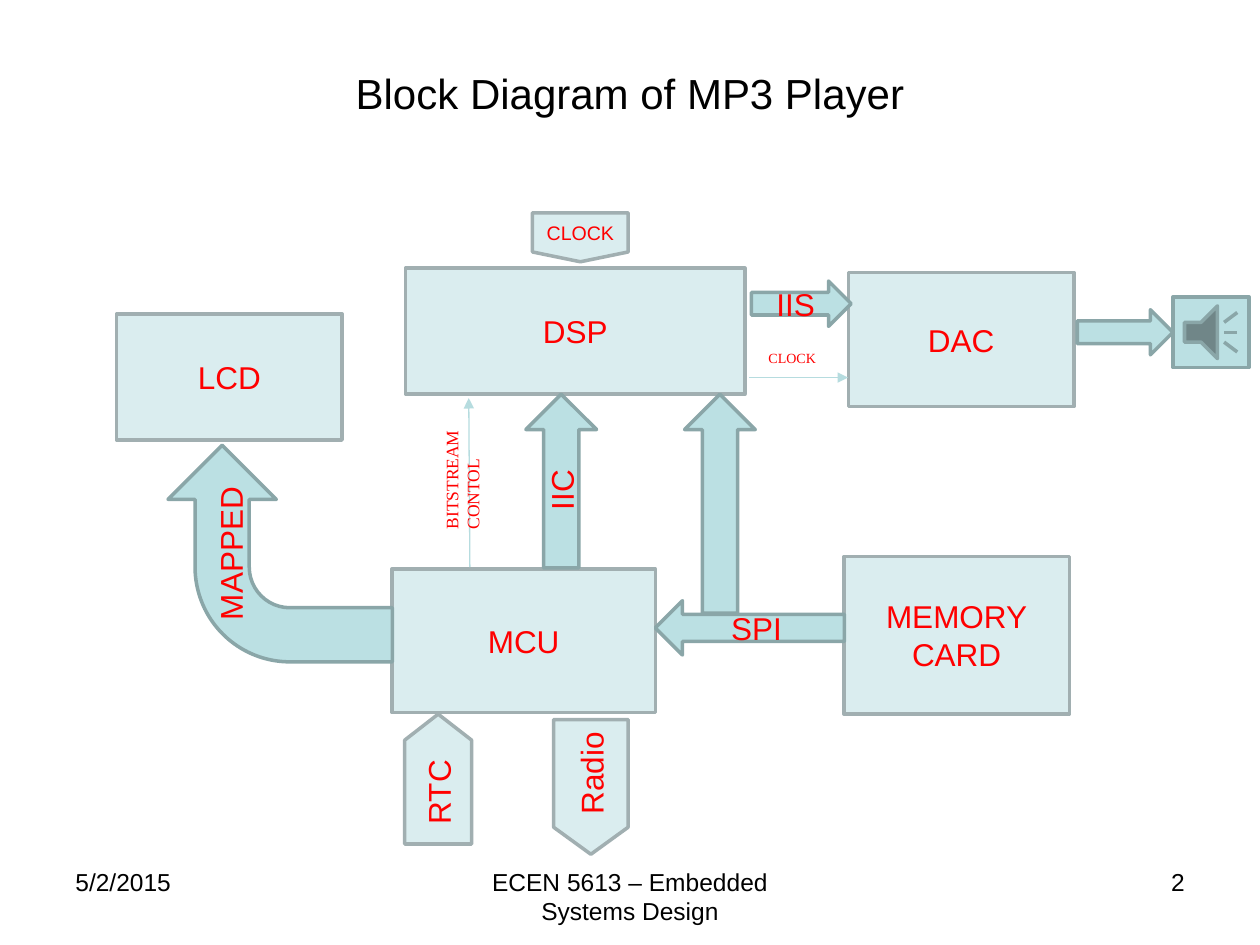
from lxml import etree
from pptx import Presentation
from pptx.dml.color import RGBColor
from pptx.enum.shapes import MSO_CONNECTOR, MSO_SHAPE
from pptx.enum.text import MSO_ANCHOR, PP_ALIGN
from pptx.oxml.ns import qn
from pptx.util import Pt

LEFT, CENTER, RIGHT = PP_ALIGN.LEFT, PP_ALIGN.CENTER, PP_ALIGN.RIGHT
TOP, MIDDLE = MSO_ANCHOR.TOP, MSO_ANCHOR.MIDDLE
STRAIGHT = MSO_CONNECTOR.STRAIGHT
BLOCK = MSO_SHAPE.FLOWCHART_PROCESS
TAG = MSO_SHAPE.FLOWCHART_OFFPAGE_CONNECTOR
ARROW_LEFT, ARROW_RIGHT = MSO_SHAPE.LEFT_ARROW, MSO_SHAPE.RIGHT_ARROW
ARROW_UP, ARROW_BENT = MSO_SHAPE.UP_ARROW, MSO_SHAPE.BENT_ARROW
SPEAKER = MSO_SHAPE.ACTION_BUTTON_SOUND

COLORS = {
    "text": "000000", "label": "FF0000", "signal": "B6DCDF",
    "block": "DAEDEF", "block edge": "A1AFB1",
    "bus": "BBE0E3", "bus edge": "8AA6A8",
}

# Lines of text, (left, top, width, height), size, font, color, align, anchor, direction
CAPTIONS = [
    (["Block Diagram of MP3 Player"], (36, 21.6, 648, 62.6), 24, "Arial", "text", CENTER, MIDDLE, None),
    (["5/2/2015"], (36, 491.8, 168, 37.4), 14, "Arial", "text", LEFT, TOP, None),
    (["2"], (516, 491.8, 168, 37.4), 14, "Arial", "text", RIGHT, TOP, None),
    (["ECEN 5613 – Embedded Systems Design"], (246, 491.8, 228, 37.4), 14, "Arial", "text", CENTER, TOP, None),
    (["BITSTREAM", "CONTOL"], (248.4, 238.3, 26, 71.3), 10, "Times New Roman", "label", LEFT, TOP, "vert270"),
    (["CLOCK"], (432, 196.2, 49.7, 17.3), 8, "Times New Roman", "label", LEFT, TOP, None),
]

# Lines of text, outline, color, (left, top, width, height), extra format values
PARTS = [
    (["LCD"], BLOCK, "block", (66.6, 179.5, 128.9, 72), {}),
    (["MCU"], BLOCK, "block", (224, 325.2, 150.5, 82), {}),
    (["DAC"], BLOCK, "block", (484.8, 155.7, 128.9, 76.5), {}),
    (["DSP"], BLOCK, "block", (231.8, 153.2, 193.9, 72), {}),
    (["MEMORY", "CARD"], BLOCK, "block", (482.2, 318, 128.9, 90), {}),
    (["SPI"], ARROW_LEFT, "bus", (374.5, 343.3, 108, 31), {}),
    (["IIC"], ARROW_UP, "bus", (300.5, 225.3, 40.4, 99.2), {"vert": "vert270"}),
    ([], ARROW_RIGHT, "bus", (615.6, 177, 54.7, 25.8), {}),
    ([], SPEAKER, "bus", (670.2, 169.8, 43.5, 40.2), {}),
    (["MAPPED"], ARROW_BENT, "bus", (98.2, 252.2, 123.8, 128.2),
     {"rotation": 270, "anchor": TOP, "margin_top": 24.8}),
    (["IIS"], ARROW_RIGHT, "bus", (429.4, 160.6, 57, 25.9), {}),
    (["CLOCK"], TAG, "block", (304.3, 121.6, 54.7, 28), {"size": 11.2}),
    (["RTC"], TAG, "block", (231.3, 408.1, 38.2, 74.2), {"rotation": 180, "vert": "vert"}),
    (["Radio"], TAG, "block", (316.4, 411.2, 42.5, 77), {"vert": "vert270"}),
    ([], ARROW_UP, "bus", (391.2, 225.3, 40.4, 125.1), {}),
]

# Start and end of each thin signal line
SIGNALS = [((268.5, 324), (267.9, 227.5)), ((428.2, 215.8), (484.6, 215.8))]


def rgb(name):
    return RGBColor.from_string(COLORS[name])


def write(shape, lines, size, font, color, align, anchor, vert, margins):
    frame = shape.text_frame
    values = {"word_wrap": True, "vertical_anchor": anchor, **margins}
    for name, value in values.items():
        setattr(frame, name, value)
    if vert:
        shape.element.txBody.bodyPr.set("vert", vert)
    for i, line in enumerate(lines):
        paragraph = frame.add_paragraph() if i else frame.paragraphs[0]
        paragraph.alignment = align
        run = paragraph.add_run()
        run.text = line
        for name, value in {"size": Pt(size), "name": font}.items():
            setattr(run.font, name, value)
        run.font.color.rgb = rgb(color)


def add_part(shapes, lines, outline, color, box, extra):
    shape = shapes.add_shape(outline, *map(Pt, box))
    shape.rotation = extra.get("rotation", 0)
    shape.shadow.inherit = False
    shape.fill.solid()
    shape.fill.fore_color.rgb = rgb(color)
    shape.line.color.rgb = rgb(color + " edge")
    shape.line.width = Pt(2)
    if lines:
        margins = {"margin_left": 0, "margin_right": 0,
                   "margin_top": Pt(extra.get("margin_top", 3.6))}
        write(shape, lines, extra.get("size", 18), "Arial", "label", CENTER,
              extra.get("anchor", MIDDLE), extra.get("vert"), margins)


def add_signal(shapes, start, end):
    signal = shapes.add_connector(STRAIGHT, *map(Pt, start + end))
    signal.line.color.rgb = rgb("signal")
    signal.line.width = Pt(0.75)
    properties = signal.element.spPr
    etree.SubElement(properties.find(qn("a:ln")), qn("a:tailEnd"), type="triangle")
    etree.SubElement(properties, qn("a:effectLst"))


def main():
    deck = Presentation()
    deck.slide_width, deck.slide_height = Pt(720), Pt(540)
    shapes = deck.slides.add_slide(deck.slide_layouts[6]).shapes

    # Blocks and bus arrows
    for part in PARTS:
        add_part(shapes, *part)

    # Signal lines
    for start, end in SIGNALS:
        add_signal(shapes, start, end)

    # Title, footer and signal names
    for lines, box, *style in CAPTIONS:
        caption = shapes.add_textbox(*map(Pt, box))
        write(caption, lines, *style, {"margin_right": Pt(0 if style[-1] else 7.2)})

    deck.save("out.pptx")


if __name__ == "__main__":
    main()
